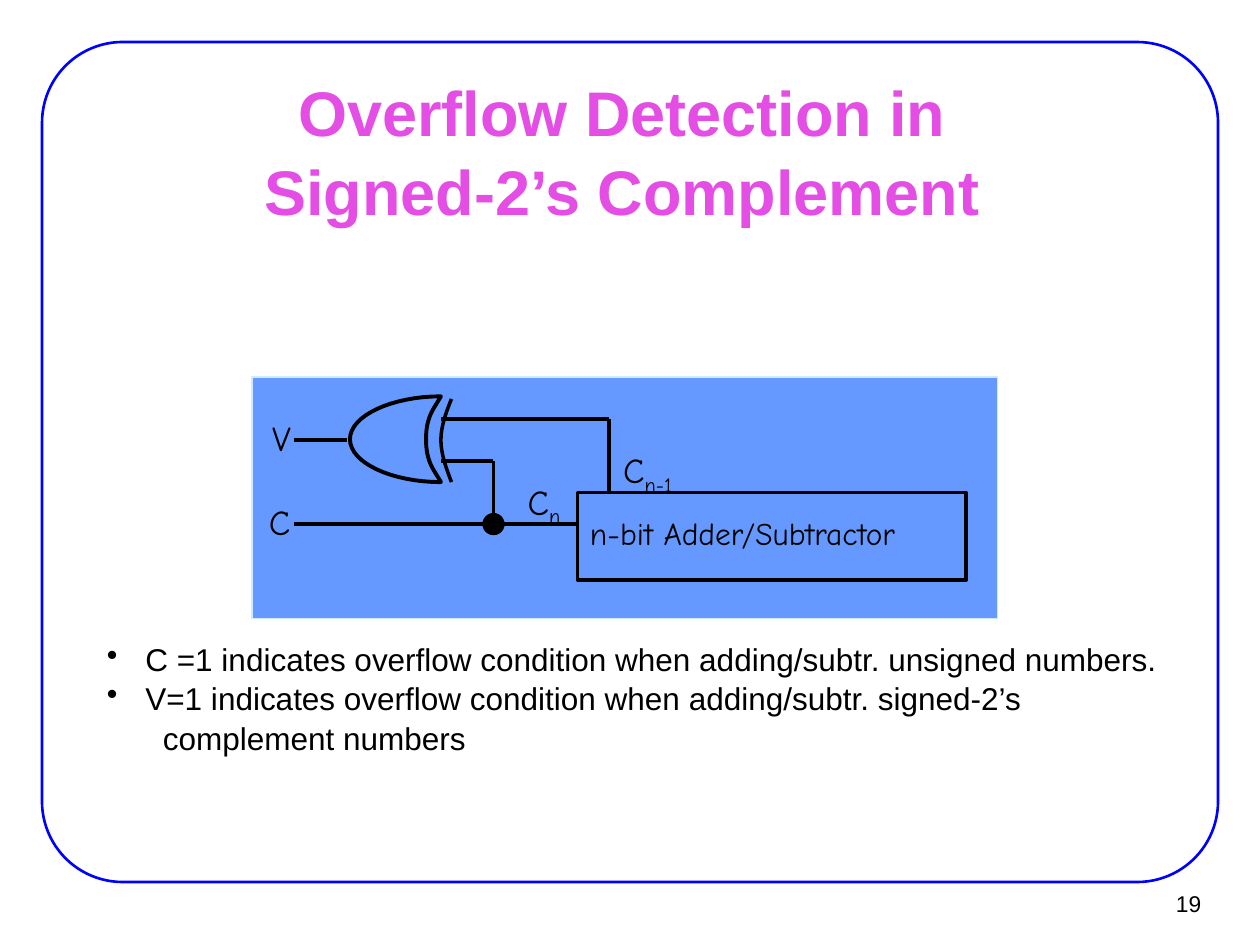
from lxml.etree import SubElement
from pptx import Presentation
from pptx.dml.color import RGBColor
from pptx.enum.shapes import MSO_CONNECTOR, MSO_SHAPE
from pptx.enum.text import MSO_ANCHOR, PP_ALIGN
from pptx.oxml.ns import qn
from pptx.util import Pt

BLACK = "000000"
HAND = "Comic Neue"


def color(value):
    """Return a colour from a hex string."""
    return RGBColor.from_string(value)


def apply_format(target, values):
    """Set each named attribute on the target."""
    for name, value in values.items():
        setattr(target, name, value)


def style_shape(shape, line, width, fill=None):
    """Give a shape its outline and its fill, without a shadow."""
    shape.shadow.inherit = False
    shape.line.color.rgb = color(line)
    shape.line.width = Pt(width)
    if fill:
        shape.fill.solid()
        shape.fill.fore_color.rgb = color(fill)
    else:
        shape.fill.background()


def add_preset(slide, kind, box, line, width, fill=None):
    """Add a preset shape in a box given in points."""
    shape = slide.shapes.add_shape(kind, *map(Pt, box))
    style_shape(shape, line, width, fill)
    return shape


def format_frame(frame, anchor=MSO_ANCHOR.TOP, wrap=True, inset=(7.2, 3.6)):
    """Set anchor, wrapping and insets of a text frame."""
    across, down = map(Pt, inset)
    apply_format(frame, {
        "word_wrap": wrap, "vertical_anchor": anchor,
        "margin_left": across, "margin_right": across,
        "margin_top": down, "margin_bottom": down,
    })


def format_paragraph(paragraph, size, font="Arial", fill=BLACK,
                     bold=False, align=PP_ALIGN.LEFT):
    """Set alignment, spacing and run fonts of a paragraph."""
    apply_format(paragraph, {
        "alignment": align, "line_spacing": 1.05,
        "space_before": Pt(0), "space_after": Pt(0),
    })
    for run in paragraph.runs:
        apply_format(run.font, {"name": font, "size": Pt(size), "bold": bold})
        run.font.color.rgb = color(fill)


def add_label(slide, box, text, size, subscript="", font=HAND,
              align=PP_ALIGN.LEFT, **frame_format):
    """Add a one-line label with an optional subscript."""
    frame = slide.shapes.add_textbox(*map(Pt, box)).text_frame
    format_frame(frame, **frame_format)
    paragraph = frame.paragraphs[0]
    paragraph.add_run().text = text
    if subscript:
        run = paragraph.add_run()
        run.text = subscript
        run.font._element.set("baseline", "-25000")
    format_paragraph(paragraph, size, font, align=align)


def add_wire(slide, start, end):
    """Draw a straight wire between two points."""
    wire = slide.shapes.add_connector(
        MSO_CONNECTOR.STRAIGHT, *map(Pt, (*start, *end)))
    wire.line.color.rgb = color(BLACK)
    wire.line.width = Pt(2)
    SubElement(wire._element.spPr, qn("a:effectLst"))


def curve_points(start, *curves, steps=16):
    """Return points along a chain of cubic curves."""
    points = [start]
    for first, second, end in curves:
        start = points[-1]
        for step in range(1, steps + 1):
            t = step / steps
            u = 1 - t
            weights = (u ** 3, 3 * u * u * t, 3 * u * t * t, t ** 3)
            corners = (start, first, second, end)
            points.append(tuple(
                sum(weight * corner[axis]
                    for weight, corner in zip(weights, corners))
                for axis in (0, 1)))
    return points


def add_outline(slide, origin, points, width, close):
    """Draw an unfilled outline through points relative to the origin."""
    left, top = origin
    placed = [(Pt(left + x), Pt(top + y)) for x, y in points]
    builder = slide.shapes.build_freeform(*placed[0])
    builder.add_line_segments(placed[1:], close=close)
    style_shape(builder.convert_to_shape(), BLACK, width)


def add_xor_gate(slide, origin):
    """Draw the XOR gate, which points to the left."""
    body = curve_points(
        (52, 49),
        ((47.7, 41.5), (43.5, 37.5), (43.5, 24.5)),
        ((43.5, 11.5), (47.7, 7.5), (52, 0)),
        ((24, 0), (0, 11), (0, 24.5)),
        ((0, 38), (24, 49), (52, 49)))
    arc = curve_points(
        (58, 1.5),
        ((55, 9), (52, 17), (52, 25)),
        ((52, 33), (55, 41), (58, 49)))
    add_outline(slide, origin, body, 2.25, True)
    add_outline(slide, origin, arc, 2, False)


def add_circuit(slide, box):
    """Draw the overflow circuit on its panel."""
    left, top, _, _ = box
    add_preset(slide, MSO_SHAPE.RECTANGLE, box, "CCECFF", 0.75, "6699FF")
    add_preset(slide, MSO_SHAPE.RECTANGLE,
               (left + 186, top + 66, 222, 50), BLACK, 2)
    add_xor_gate(slide, (left + 56, top + 11))

    wires = [
        ((204, 24), (108, 24)), ((186, 84), (24, 84)),
        ((204, 66), (204, 24)), ((138, 84), (138, 48)),
        ((138, 48), (108, 48)), ((54, 36), (24, 36)),
    ]
    for wire in wires:
        add_wire(slide, *((left + x, top + y) for x, y in wire))
    add_preset(slide, MSO_SHAPE.OVAL, (left + 132, top + 78, 12, 12),
               BLACK, 0.75, BLACK)

    labels = [
        (4.5, 18, 25, 32, "V", "", 20),
        (2.5, 66, 27, 32, "C", "", 20),
        (150.5, 54, 33, 34, "C", "n", 20),
        (205, 36, 46, 34, "C", "n-1", 20),
        (186, 73.5, 228, 29, "n-bit Adder/Subtractor", "", 18),
    ]
    for x, y, width, height, text, subscript, size in labels:
        add_label(slide, (left + x, top + y, width, height), text, size,
                  subscript, wrap=False)


def place_title(slide, box, text):
    """Move and format the title placeholder."""
    title = slide.shapes.title
    left, top, width, height = map(Pt, box)
    apply_format(title, {"left": left, "top": top,
                         "width": width, "height": height})
    format_frame(title.text_frame, MSO_ANCHOR.MIDDLE, inset=(8, 4.3))
    title.text_frame.text = text
    format_paragraph(title.text_frame.paragraphs[0], 36, fill="E44EE4",
                     bold=True, align=PP_ALIGN.CENTER)


def add_notes_list(slide, box, lines):
    """Add the bulleted lines and their indented continuations."""
    frame = slide.shapes.add_textbox(*map(Pt, box)).text_frame
    format_frame(frame)
    for index, (text, bulleted) in enumerate(lines):
        paragraph = frame.add_paragraph() if index else frame.paragraphs[0]
        paragraph.text = text
        format_paragraph(paragraph, 18)
        properties = paragraph._p.get_or_add_pPr()
        properties.set("marL", str(Pt(22 if bulleted else 32)))
        properties.set("indent", str(Pt(-22 if bulleted else 0)))
        if bulleted:
            SubElement(properties, qn("a:buChar"), char="•")
        else:
            SubElement(properties, qn("a:buNone"))


def main():
    """Build and save the slide."""
    presentation = Presentation()
    presentation.slide_width, presentation.slide_height = Pt(720), Pt(540)
    slide = presentation.slides.add_slide(presentation.slide_layouts[5])

    border = add_preset(slide, MSO_SHAPE.ROUNDED_RECTANGLE,
                        (24, 24, 672, 480), "0000FF", 1.5)
    border.adjustments[0] = 0.096
    place_title(slide, (54.5, 47.5, 612, 75),
                "Overflow Detection in \vSigned-2’s Complement ")
    add_circuit(slide, (144, 215.5, 426, 138))
    add_notes_list(slide, (54, 361, 660, 72), [
        ("C =1 indicates overflow condition when adding/subtr. unsigned numbers.", True),
        ("V=1 indicates overflow condition when adding/subtr. signed-2’s", True),
        ("complement numbers", False),
    ])
    add_label(slide, (649.5, 502.5, 44, 27), "19", 13, font="Arial",
              align=PP_ALIGN.RIGHT, anchor=MSO_ANCHOR.MIDDLE, wrap=False)
    presentation.save("out.pptx")


if __name__ == "__main__":
    main()
